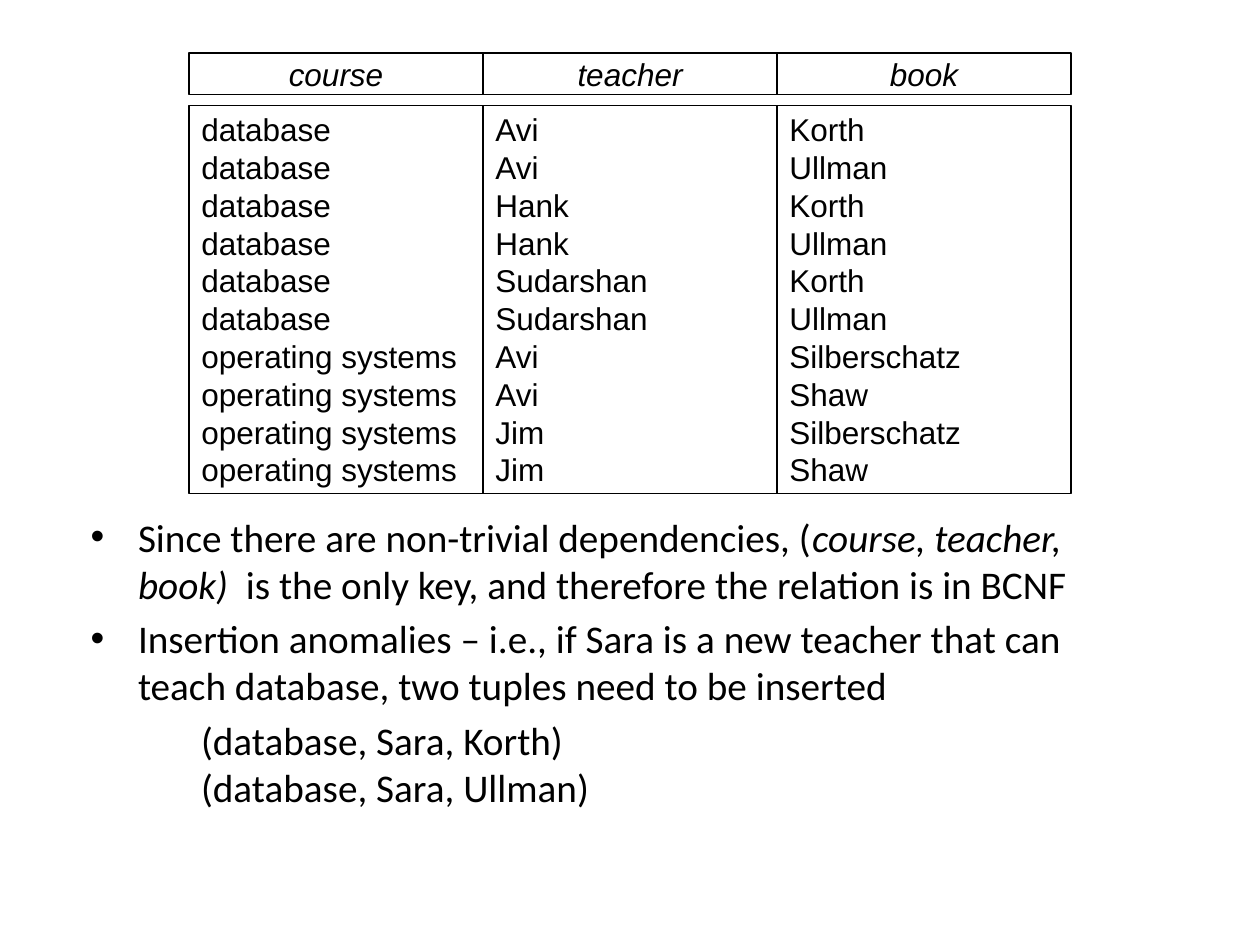
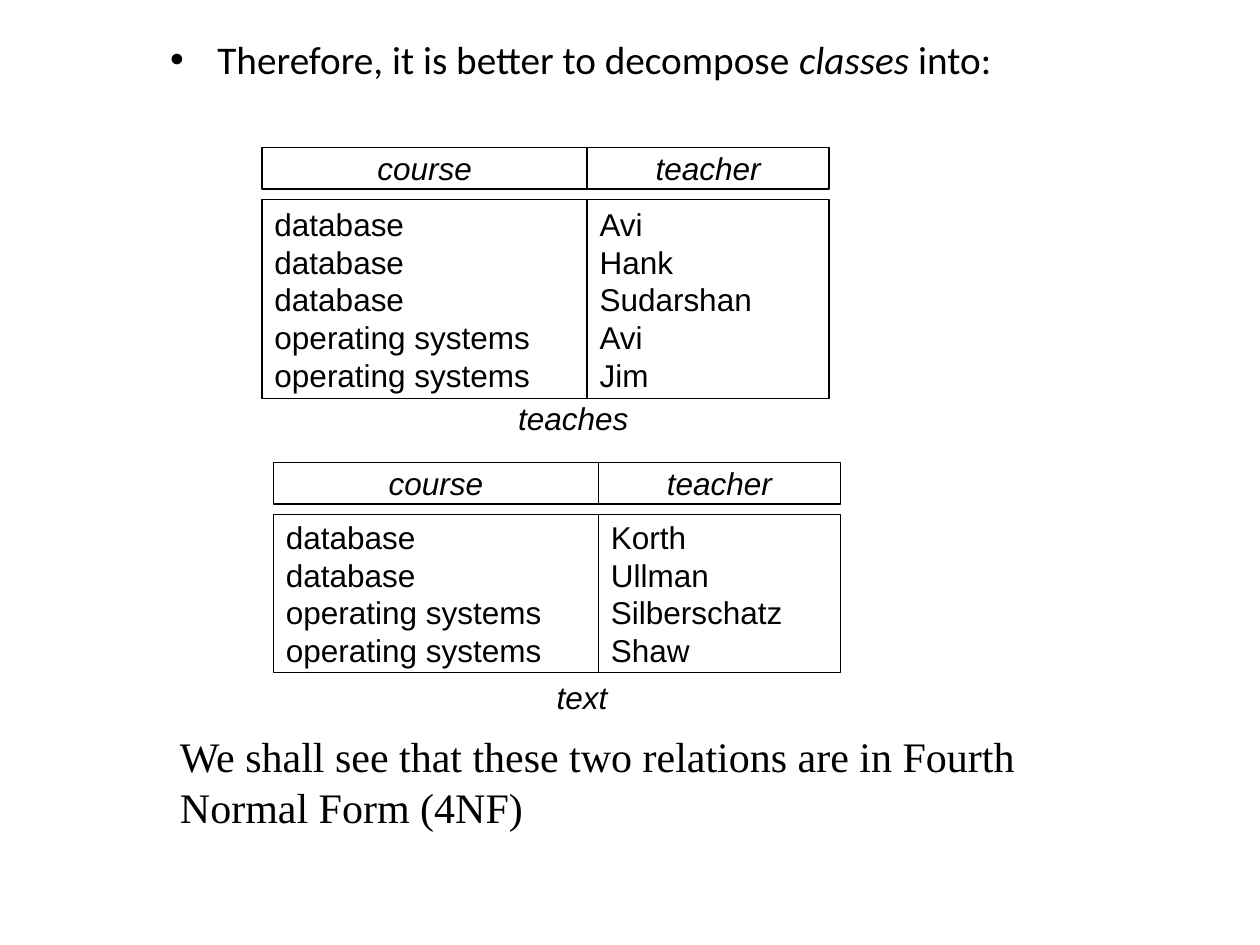
from lxml.etree import SubElement
from pptx import Presentation
from pptx.dml.color import RGBColor
from pptx.enum.shapes import MSO_SHAPE
from pptx.enum.text import MSO_ANCHOR, MSO_AUTO_SIZE, PP_ALIGN
from pptx.oxml.ns import qn
from pptx.util import Inches, Pt

COLORS = {"ink": "000000", "paper": "FFFFFF"}
HEADER_HEIGHT = 0.33
BODY_OFFSET = 0.415  # from the top of the header to the top of the columns
HANG = 0.375
TAB_STOP = 2.18

# A bullet is (has bullet, [(text, italic), ...]); a line break is "\v".
# A relation is left, top, body height, column widths, heads, rows, caption.
# A caption is (text, left, top, width).
SLIDES = [
    {
        "body": (0.62, 4.02, 8.58, 2.53),
        "bullets": [
            (True, [("Since there are non-trivial dependencies, (", False),
                    ("course, teacher, book) ", True),
                    (" is the only key, and therefore the relation is in BCNF ", False)]),
            (True, [("Insertion anomalies – i.e., if Sara is a new teacher that can "
                     "teach database, two tuples need to be inserted", False)]),
            (False, [("\t\t(database, Sara, Korth)\v\t(database, Sara, Ullman)", False)]),
        ],
        "tabs": True,
        "relations": [{
            "left": 1.5, "top": 0.42, "height": 3.08, "widths": [7 / 3] * 3,
            "heads": ["course", "teacher", "book"],
            "rows": [
                ("database", "Avi", "Korth"),
                ("database", "Avi", "Ullman"),
                ("database", "Hank", "Korth"),
                ("database", "Hank", "Ullman"),
                ("database", "Sudarshan", "Korth"),
                ("database", "Sudarshan", "Ullman"),
                ("operating systems", "Avi", "Silberschatz"),
                ("operating systems", "Avi", "Shaw"),
                ("operating systems", "Jim", "Silberschatz"),
                ("operating systems", "Jim", "Shaw"),
            ],
        }],
    },
    {
        "body": (1.25, 0.23, 7.35, 0.58),
        "bullets": [
            (True, [("Therefore, it is better to decompose ", False),
                    ("classes ", True), ("into:", False)]),
        ],
        "relations": [
            {
                "left": 2.08, "top": 1.17, "height": 1.58, "widths": [2.58, 1.92],
                "heads": ["course", "teacher"],
                "rows": [
                    ("database", "Avi"),
                    ("database", "Hank"),
                    ("database", "Sudarshan"),
                    ("operating systems", "Avi"),
                    ("operating systems", "Jim"),
                ],
                "caption": ("teaches", 4.01, 3.12, 1.08),
            },
            {
                "left": 2.17, "top": 3.67, "height": 1.25, "widths": [2.58, 1.92],
                "heads": ["course", "teacher"],
                "rows": [
                    ("database", "Korth"),
                    ("database", "Ullman"),
                    ("operating systems", "Silberschatz"),
                    ("operating systems", "Shaw"),
                ],
                "caption": ("text", 4.32, 5.33, 0.6),
            },
        ],
        "closing": ("We shall see that these two relations are in Fourth "
                    "Normal Form (4NF)", (1.33, 5.75, 7.35, 0.58)),
    },
]


def color(name):
    """Return a palette colour."""
    return RGBColor.from_string(COLORS[name])


def style(para, size, face, italic=None, align=PP_ALIGN.LEFT):
    """Set the font and alignment of a paragraph."""
    para.alignment = align
    para.font.size = Pt(size)
    para.font.name = face
    para.font.italic = italic
    para.font.color.rgb = color("ink")


def fill_lines(frame, lines, italic=None, align=PP_ALIGN.LEFT):
    """Write Arial lines, unwrapped and centred in height."""
    frame.word_wrap = False
    frame.vertical_anchor = MSO_ANCHOR.MIDDLE
    frame.text = "\n".join(lines)
    for para in frame.paragraphs:
        style(para, 18, "Arial", italic, align)


def add_cell(page, area, lines, **look):
    """Draw one outlined box holding lines of text."""
    box = page.shapes.add_shape(MSO_SHAPE.RECTANGLE, *map(Inches, area))
    box.shadow.inherit = False
    box.fill.solid()
    box.fill.fore_color.rgb = color("paper")
    box.line.color.rgb = color("ink")
    box.line.width = Pt(0.75)
    fill_lines(box.text_frame, lines, **look)


def add_relation(page, relation):
    """Draw a relation: header boxes, column boxes and a caption."""
    left, top = relation["left"], relation["top"]
    columns = zip(relation["widths"], relation["heads"], zip(*relation["rows"]))
    for width, head, values in columns:
        add_cell(page, (left, top, width, HEADER_HEIGHT), [head],
                 italic=True, align=PP_ALIGN.CENTER)
        add_cell(page, (left, top + BODY_OFFSET, width, relation["height"]), values)
        left += width
    if "caption" in relation:
        text, left, top, width = relation["caption"]
        box = page.shapes.add_textbox(*map(Inches, (left, top, width, 0.4)))
        fill_lines(box.text_frame, [text], italic=True, align=PP_ALIGN.CENTER)
        box.text_frame.auto_size = MSO_AUTO_SIZE.SHAPE_TO_FIT_TEXT


def format_bullet(para, has_bullet, has_tabs):
    """Set the hanging indent, bullet and tab stop of a paragraph."""
    properties = para._p.get_or_add_pPr()
    properties.set("marL", str(Inches(HANG)))
    properties.set("indent", str(-Inches(HANG)))
    if has_bullet:
        SubElement(properties, qn("a:buChar"), char="•")
    else:
        SubElement(properties, qn("a:buNone"))
    if has_tabs:
        stops = SubElement(properties, qn("a:tabLst"))
        SubElement(stops, qn("a:tab"), pos=str(Inches(TAB_STOP)), algn="l")


def fill_body(page, content):
    """Move the body placeholder and write its bullets."""
    body = page.placeholders[1]
    body.left, body.top, body.width, body.height = map(Inches, content["body"])
    frame = body.text_frame
    frame.word_wrap = True
    frame.auto_size = MSO_AUTO_SIZE.NONE
    for index, (has_bullet, spans) in enumerate(content["bullets"]):
        para = frame.add_paragraph() if index else frame.paragraphs[0]
        format_bullet(para, has_bullet, content.get("tabs", False))
        for text, italic in spans:
            for number, line in enumerate(text.split("\v")):
                if number:
                    para.add_line_break()
                span = para.add_run()
                span.text = line
                span.font.italic = italic
        style(para, 22.4, "Calibri")


def add_closing(page, text, area):
    """Add the closing remark."""
    box = page.shapes.add_textbox(*map(Inches, area))
    box.text_frame.word_wrap = True
    box.text_frame.text = text
    style(box.text_frame.paragraphs[0], 24, "Times New Roman")


deck = Presentation()
deck.slide_width, deck.slide_height = Inches(10), Inches(7.5)
for content in SLIDES:
    page = deck.slides.add_slide(deck.slide_layouts[1])
    title = page.shapes.title.element
    title.getparent().remove(title)
    fill_body(page, content)
    for relation in content["relations"]:
        add_relation(page, relation)
    if "closing" in content:
        add_closing(page, *content["closing"])
deck.save("out.pptx")
